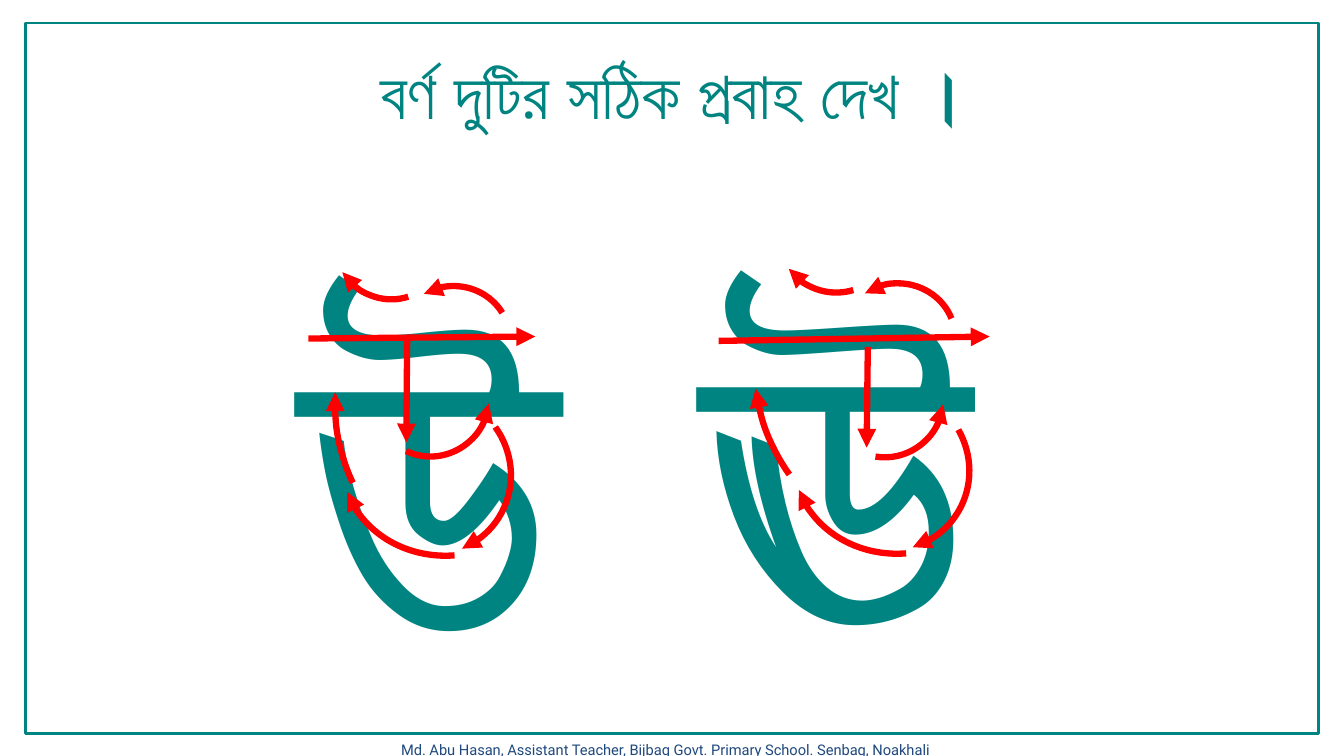
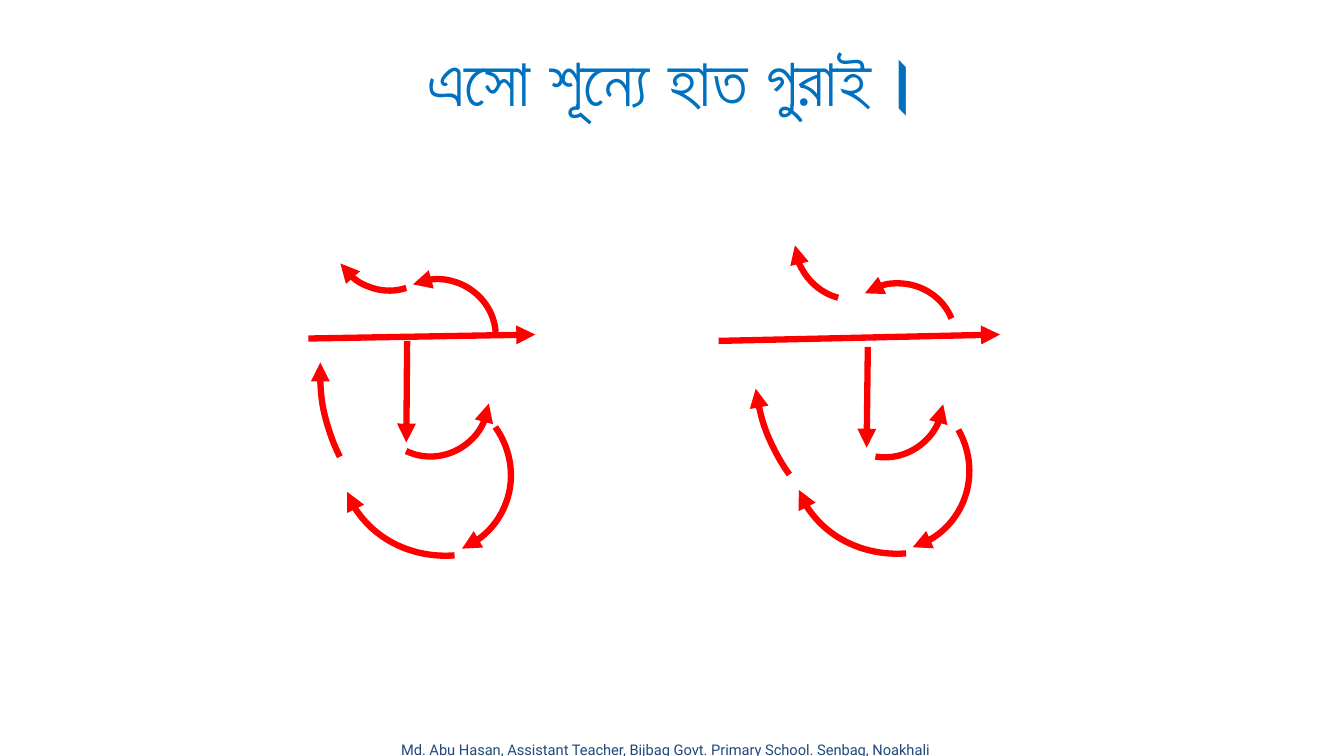
"""Two slides on the stroke order of a pair of Bangla vowels."""
import pptx
import pptx.dml.color
import pptx.enum.shapes
import pptx.enum.text
import pptx.oxml
import pptx.oxml.ns
import pptx.util

Cm = pptx.util.Cm
Pt = pptx.util.Pt
RGBColor = pptx.dml.color.RGBColor
SHAPE = pptx.enum.shapes.MSO_SHAPE
ALIGN = pptx.enum.text.PP_ALIGN
qn = pptx.oxml.ns.qn

TEAL = RGBColor(0x00, 0x84, 0x81)
BLUE = RGBColor(0x00, 0x70, 0xC0)
NAVY = RGBColor(0x1F, 0x49, 0x7D)
RED = RGBColor(0xFF, 0x00, 0x00)
FONT = "Roboto"
FOOTER = "Md. Abu Hasan, Assistant Teacher, Bijbag Govt. Primary School. Senbag, Noakhali"

# Arc kinds: width, height, start angle, end angle, flip attribute
BELLY = (5.33, 4.83, 271.34, 347.84, None)
BOWL = (4.14, 4.32, 212.12, 309.96, None)
SIDE = (7.87, 8.94, 316.99, 350.18, None)
LONG_SIDE = (7.87, 8.94, 316.99, 351.71, None)
U_HOOK = (2.9, 2.79, 200.6, 314.74, "flipV")
UU_HOOK = (2.9, 2.79, 216.48, 314.74, "flipV")
U_TOP = (2.9, 2.79, 200.6, 291.79, "flipH")
U_LONG_TOP = (2.9, 2.79, 200.6, 314.74, "flipH")
UU_TOP = (2.9, 2.79, 200.6, 306.02, "flipH")
U_CURL = (2.9, 2.79, 200.6, 277.8, None)
UU_CURL = (2.9, 2.79, 223.53, 297.97, None)

U_BOX = (7.6, 4.4)
UU_BOX = (18, 4.4)

U_LINES = [(2.66, 4.19, 2.64, 6.75)]
U_ARCS = [(BELLY, 1.01, 4.77, 174.4), (U_HOOK, 1.85, 4.29, 318.1), (BOWL, 1.06, 5.35, 114.6)]
UU_LINES = [(3.87, 4.34, 3.84, 6.88)]
UU_ARCS = [(BELLY, 1.99, 4.72, 174.4), (UU_HOOK, 2.9, 4.31, 318.1), (BOWL, 2.22, 5.23, 120.5),
           (SIDE, 1, 0.25, 180), (UU_TOP, 3.18, 2.74, 0)]


def add_text(slide, box, text, size, color, bold=False, align=ALIGN.CENTER, wrap=True):
    """Add one paragraph of text in a box."""
    sp = slide.shapes.add_textbox(*map(Cm, box))
    tf = sp.text_frame
    tf.word_wrap = wrap
    tf.auto_size = pptx.enum.text.MSO_AUTO_SIZE.SHAPE_TO_FIT_TEXT
    p = tf.paragraphs[0]
    p.text = text
    p.alignment = align
    p.font.name = FONT
    p.font.size = Pt(size)
    p.font.bold = bold
    p.font.color.rgb = color


def style_stroke(sp):
    """Give a line or arc the red stroke with an arrowhead."""
    sp.line.color.rgb = RED
    sp.line.width = Pt(4.5)
    ln = sp.element.spPr.find(qn("a:ln"))
    ln.append(pptx.oxml.parse_xml(
        '<a:tailEnd xmlns:a="http://schemas.openxmlformats.org/drawingml/2006/main" type="triangle"/>'))


def add_line(slide, box, x1, y1, x2, y2):
    """Add a straight arrow relative to the letter box."""
    left, top = box
    sp = slide.shapes.add_connector(pptx.enum.shapes.MSO_CONNECTOR.STRAIGHT, Cm(left + x1),
                                    Cm(top + y1), Cm(left + x2), Cm(top + y2))
    style_stroke(sp)
    sp.element.spPr.append(pptx.oxml.parse_xml(
        '<a:effectLst xmlns:a="http://schemas.openxmlformats.org/drawingml/2006/main"/>'))


def add_arc(slide, box, kind, x, y, rotation):
    """Add a curved arrow relative to the letter box."""
    width, height, start, end, flip = kind
    sp = slide.shapes.add_shape(SHAPE.ARC, Cm(box[0] + x), Cm(box[1] + y), Cm(width), Cm(height))
    sp.shadow.inherit = False
    sp.fill.background()
    sp.adjustments[0] = start * 0.6
    sp.adjustments[1] = end * 0.6
    sp.rotation = rotation
    if flip:
        sp.element.spPr.find(qn("a:xfrm")).set(flip, "1")
    style_stroke(sp)


def add_strokes(slide, box, lines, arcs):
    """Draw the writing strokes of one letter."""
    for line in lines:
        add_line(slide, box, *line)
    for arc in arcs:
        add_arc(slide, box, *arc)


def add_letter(slide, box, letter, dx, dy, width):
    """Set the large letter behind its strokes."""
    add_text(slide, (box[0] + dx, box[1] + dy, width, 14.96), letter, 344, TEAL, True,
             ALIGN.LEFT, False)


def add_frame(slide):
    """Outline the slide."""
    sp = slide.shapes.add_shape(SHAPE.RECTANGLE, Cm(0.64), Cm(0.58), Cm(32.59), Cm(17.91))
    sp.shadow.inherit = False
    sp.fill.background()
    sp.line.color.rgb = TEAL
    sp.line.width = Pt(2)


def add_base(prs, title, top, color):
    """Start a slide with its footer and title."""
    slide = prs.slides.add_slide(prs.slide_layouts[6])
    add_text(slide, (8.89, 18.54, 15.77, 0.71), FOOTER, 10.5, NAVY)
    add_text(slide, (4.45, top, 24.97, 2.31), title, 48, color, True)
    return slide


def build_letters(prs):
    """Show the strokes on top of the letters."""
    slide = add_base(prs, "বর্ণ দুটির সঠিক প্রবাহ দেখ ।", 1.19, TEAL)
    add_frame(slide)
    add_letter(slide, UU_BOX, "ঊ", -0.58, -0.11, 7.52)
    add_letter(slide, U_BOX, "উ", -0.31, 0.02, 6.55)
    add_strokes(slide, U_BOX, U_LINES + [(0.17, 4.13, 5.89, 4.08)],
                U_ARCS + [(U_TOP, 2.36, 2.81, 350.6), (U_CURL, 0.76, 0.32, 230),
                          (SIDE, 0.86, 1.06, 190.5)])
    add_strokes(slide, UU_BOX, UU_LINES + [(0.11, 4.19, 6.94, 4.08)],
                UU_ARCS + [(UU_CURL, 1.58, 0.17, 207)])


def build_air_writing(prs):
    """Show the strokes alone."""
    slide = add_base(prs, "এসো শূন্যে হাত গুরাই।", 0.86, BLUE)
    add_strokes(slide, U_BOX, U_LINES + [(0.17, 4.13, 5.89, 4.03)],
                U_ARCS + [(U_LONG_TOP, 2, 2.64, 17.9), (U_CURL, 0.71, 0.1, 230),
                          (LONG_SIDE, 0.48, 0.32, 189.1)])
    add_strokes(slide, UU_BOX, UU_LINES + [(0.11, 4.19, 7.2, 4.03)],
                UU_ARCS + [(UU_CURL, 1.99, 0.32, 239.3)])


def main():
    """Build and save the presentation."""
    prs = pptx.Presentation()
    prs.slide_width = Cm(33.87)
    prs.slide_height = Cm(19.05)
    build_letters(prs)
    build_air_writing(prs)
    prs.save("out.pptx")


if __name__ == "__main__":
    main()
